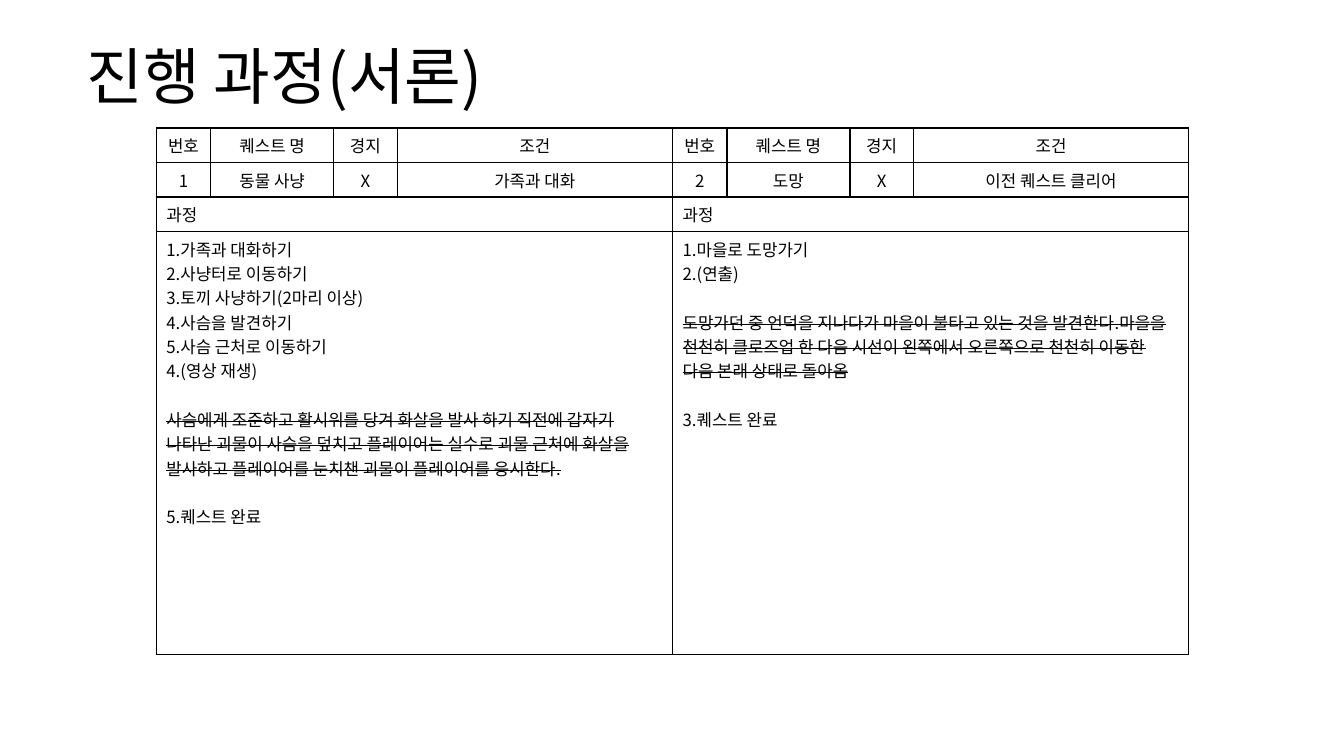
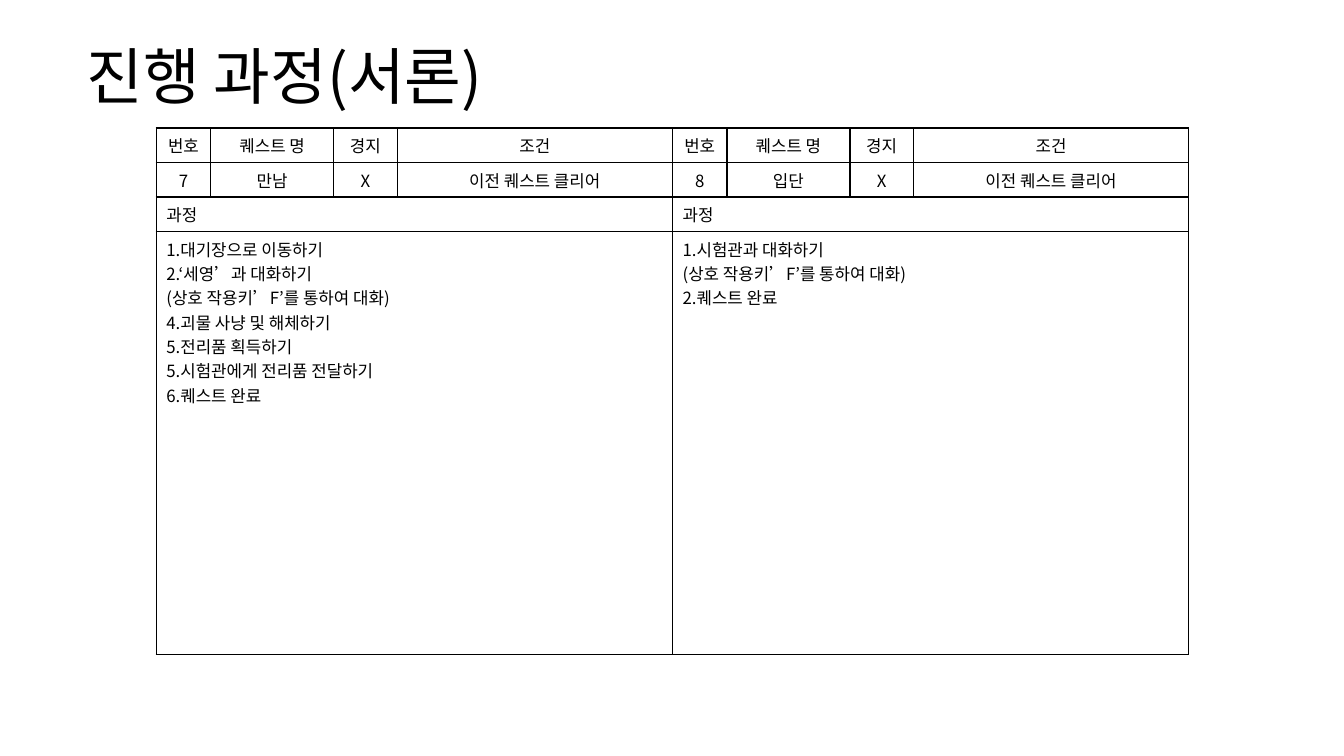
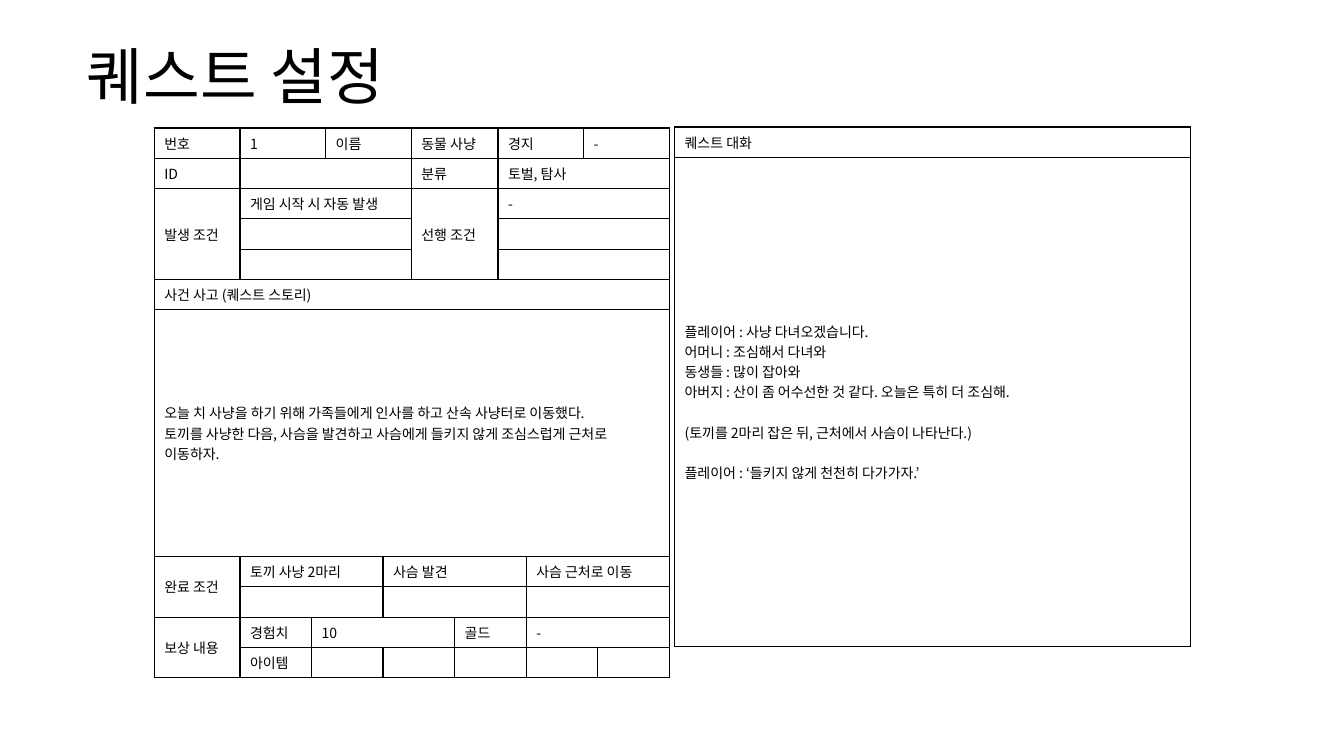
import lxml.etree
import pptx
import pptx.dml.color
import pptx.enum.text
import pptx.oxml.ns
import pptx.util

Inches, Pt = pptx.util.Inches, pptx.util.Pt
ALIGN, ANCHOR = pptx.enum.text.PP_ALIGN, pptx.enum.text.MSO_ANCHOR
qn = pptx.oxml.ns.qn
BLACK = pptx.dml.color.RGBColor(0x00, 0x00, 0x00)
FONT = "Noto Sans CJK KR"
LINE_HEIGHT = 1.45  # line pitch of the font, in ems


class Struck(str):
    """A line of text that is crossed out."""


class Deck:
    def __init__(self):
        self.prs = pptx.Presentation()
        self.prs.slide_width = Inches(13.33)
        self.prs.slide_height = Inches(7.5)
        self.s = None

    def slide(self, title):
        self.s = self.prs.slides.add_slide(self.prs.slide_layouts[5])
        sp = self.s.shapes.title
        sp.left, sp.top = Inches(0.76), Inches(0.32)
        sp.width, sp.height = Inches(11.81), Inches(0.94)
        tf = sp.text_frame
        tf.word_wrap = True
        tf.auto_size = pptx.enum.text.MSO_AUTO_SIZE.NONE
        tf.vertical_anchor = ANCHOR.MIDDLE
        p = tf.paragraphs[0]
        p.alignment = ALIGN.LEFT
        p.line_spacing = 0.9
        self.run(p, title, 44)

    def run(self, p, text, size):
        r = p.add_run()
        r.text = text
        r.font.size = Pt(size)
        r.font.color.rgb = BLACK
        r.font.name = FONT
        rPr = r.font._element
        lxml.etree.SubElement(rPr, qn("a:ea"), typeface=FONT)
        if isinstance(text, Struck):
            rPr.set("strike", "sngStrike")

    def fill_cell(self, cell, groups, size, align):
        """Write groups of lines, one line apart."""
        p = cell.text_frame.paragraphs[0]
        if not groups:
            lxml.etree.SubElement(p._p, qn("a:endParaRPr"), sz=str(size * 100))
        for g, lines in enumerate(groups):
            for i, line in enumerate(lines):
                if g or i:
                    p = cell.text_frame.add_paragraph()
                if g and not i:
                    p.space_before = Pt(size * LINE_HEIGHT)
                p.alignment = align
                self.run(p, line, size)

    def format_cell(self, cell, anchor):
        cell.vertical_anchor = anchor
        cell.fill.background()
        tcPr = cell._tc.get_or_add_tcPr()
        for i, side in enumerate(("lnL", "lnR", "lnT", "lnB")):
            ln = lxml.etree.Element(qn("a:" + side), w=str(Pt(1)))
            solid = lxml.etree.SubElement(ln, qn("a:solidFill"))
            lxml.etree.SubElement(solid, qn("a:srgbClr"), val=str(BLACK))
            tcPr.insert(i, ln)

    def table(self, left, top, widths, heights, rows, size, anchor, centred=0):
        """Each row lists (content, columns, rows) for its cells, left to right."""
        frame = self.s.shapes.add_table(
            len(heights), len(widths), Inches(left), Inches(top),
            Inches(sum(widths)), Inches(sum(heights)))
        table = frame.table
        table.first_row = table.horz_banding = False
        for column, width in zip(table.columns, widths):
            column.width = Inches(width)
        for row, height in zip(table.rows, heights):
            row.height = Inches(height)
        for y, items in enumerate(rows):
            queue = iter(items)
            for x in range(len(widths)):
                cell = table.cell(y, x)
                groups = []
                if not cell.is_spanned:
                    content, across, down = next(queue)
                    if across * down > 1:
                        cell.merge(table.cell(y + down - 1, x + across - 1))
                    if isinstance(content, list):
                        groups = content
                    elif content:
                        groups = [[content]]
                align = ALIGN.CENTER if y < centred else ALIGN.LEFT
                self.fill_cell(cell, groups, size, align)
                self.format_cell(cell, anchor)

    def quest(self, left, facts, steps):
        head = ("번호", "퀘스트 명", "경지", "조건")
        rows = [[(text, 1, 1) for text in line] for line in (head, facts)]
        rows += [[("과정", 4, 1)], [(steps, 4, 1)]]
        self.table(left, 1.27, [0.54, 1.22, 0.63, 2.73], [0.34] * 3 + [4.2],
                   rows, 12, ANCHOR.TOP, centred=2)


PREVIOUS = "이전 퀘스트 클리어"
TALK_KEY = "(상호 작용키’F’를 통하여 대화)"
QUEST_PAGES = [
    [
        (("1", "동물 사냥", "X", "가족과 대화"), [
            ["1.가족과 대화하기", "2.사냥터로 이동하기", "3.토끼 사냥하기(2마리 이상)",
             "4.사슴을 발견하기", "5.사슴 근처로 이동하기", "4.(영상 재생)"],
            [Struck("사슴에게 조준하고 활시위를 당겨 화살을 발사 하기 직전에 갑자기 "
                    "나타난 괴물이 사슴을 덮치고 플레이어는 실수로 괴물 근처에 화살을 "
                    "발사하고 플레이어를 눈치챈 괴물이 플레이어를 응시한다.")],
            ["5.퀘스트 완료"]]),
        (("2", "도망", "X", PREVIOUS), [
            ["1.마을로 도망가기", "2.(연출)"],
            [Struck("도망가던 중 언덕을 지나다가 마을이 불타고 있는 것을 발견한다."
                    "마을을 천천히 클로즈업 한 다음 시선이 왼쪽에서 오른쪽으로 천천히 "
                    "이동한 다음 본래 상태로 돌아옴")],
            ["3.퀘스트 완료"]]),
    ],
    [
        (("7", "만남", "X", PREVIOUS), [
            ["1.대기장으로 이동하기", "2.‘세영’과 대화하기", TALK_KEY,
             "4.괴물 사냥 및 해체하기", "5.전리품 획득하기",
             "5.시험관에게 전리품 전달하기", "6.퀘스트 완료"]]),
        (("8", "입단", "X", PREVIOUS), [
            ["1.시험관과 대화하기", TALK_KEY, "2.퀘스트 완료"]]),
    ],
]

STORY = [["오늘 치 사냥을 하기 위해 가족들에게 인사를 하고 산속 사냥터로 이동했다.",
          "토끼를 사냥한 다음, 사슴을 발견하고 사슴에게 들키지 않게 조심스럽게 근처로 이동하자."]]
SETTINGS = [
    [("번호", 1, 1), ("1", 2, 1), ("이름", 2, 1), ("동물 사냥", 2, 1),
     ("경지", 2, 1), ("-", 2, 1)],
    [("ID", 1, 1), ("", 4, 1), ("분류", 2, 1), ("토벌, 탐사", 4, 1)],
    [("발생 조건", 1, 3), ("게임 시작 시 자동 발생", 4, 1),
     ("선행 조건", 2, 3), ("-", 4, 1)],
    [("", 4, 1), ("", 4, 1)],
    [("", 4, 1), ("", 4, 1)],
    [("사건 사고 (퀘스트 스토리)", 11, 1)],
    [(STORY, 11, 1)],
    [("완료 조건", 1, 2), ("토끼 사냥 2마리", 3, 1), ("사슴 발견", 4, 1),
     ("사슴 근처로 이동", 3, 1)],
    [("", 3, 1), ("", 4, 1), ("", 3, 1)],
    [("보상 내용", 1, 2), ("경험치", 1, 1), ("10", 4, 1), ("골드", 2, 1), ("-", 3, 1)],
    [("아이템", 1, 1)] + [("", 2, 1)] * 4 + [("", 1, 1)],
]
DIALOGUE = [
    ["플레이어 : 사냥 다녀오겠습니다.", "어머니 : 조심해서 다녀와", "동생들 : 많이 잡아와",
     "아버지 : 산이 좀 어수선한 것 같다. 오늘은 특히 더 조심해."],
    ["(토끼를 2마리 잡은 뒤, 근처에서 사슴이 나타난다.)"],
    ["플레이어 : ‘들키지 않게 천천히 다가가자.’"],
]


def main():
    deck = Deck()

    # Quest progress, two quests a slide
    for quests in QUEST_PAGES:
        deck.slide("진행 과정(서론)")
        for i, (facts, steps) in enumerate(quests):
            deck.quest(1.55 + 5.12 * i, facts, steps)

    # Quest settings and dialogue
    deck.slide("퀘스트 설정")
    half = [0.71, 0.14, 0.57, 0.28, 0.43]
    deck.table(1.53, 1.27, [0.85] + half + half[::-1],
               [0.3] * 6 + [2.45] + [0.3] * 4, SETTINGS, 10, ANCHOR.MIDDLE)
    deck.table(6.69, 1.26, [5.12], [0.3, 4.85],
               [[("퀘스트 대화", 1, 1)], [(DIALOGUE, 1, 1)]], 10, ANCHOR.MIDDLE)

    deck.prs.save("out.pptx")


if __name__ == "__main__":
    main()
